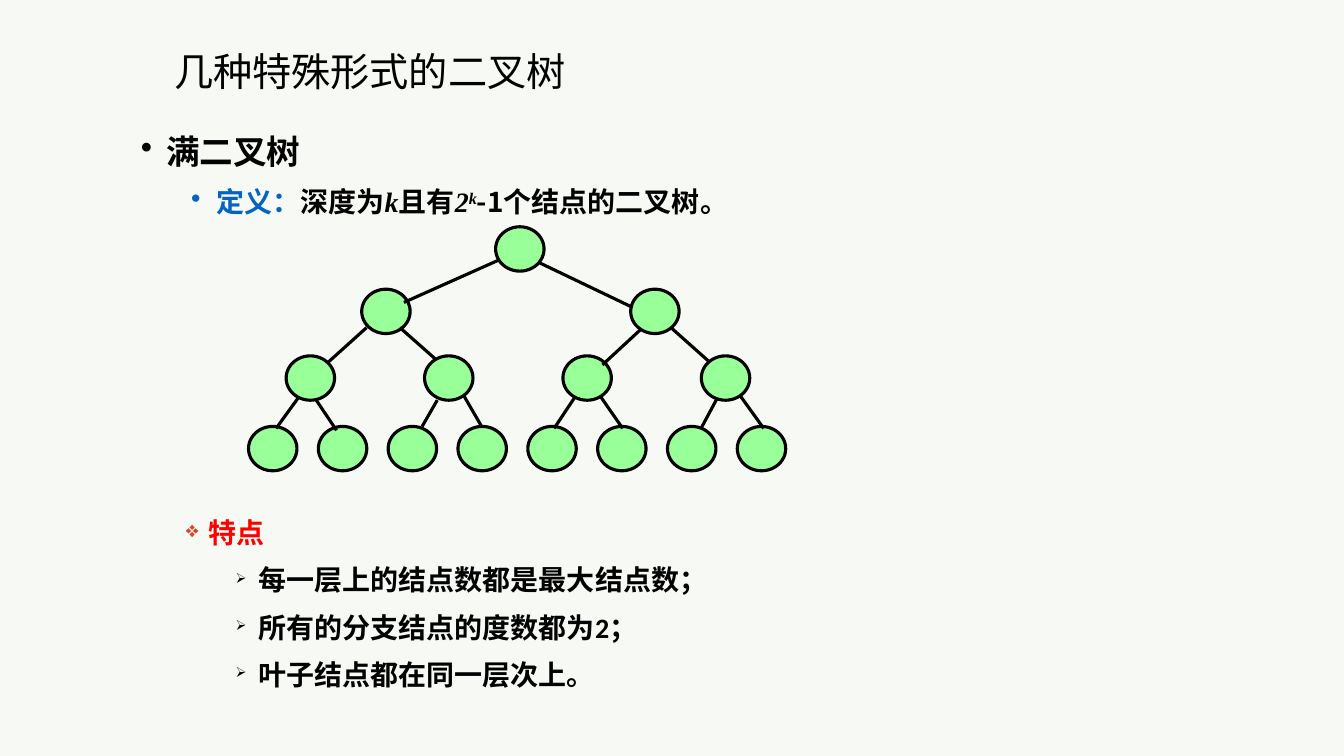
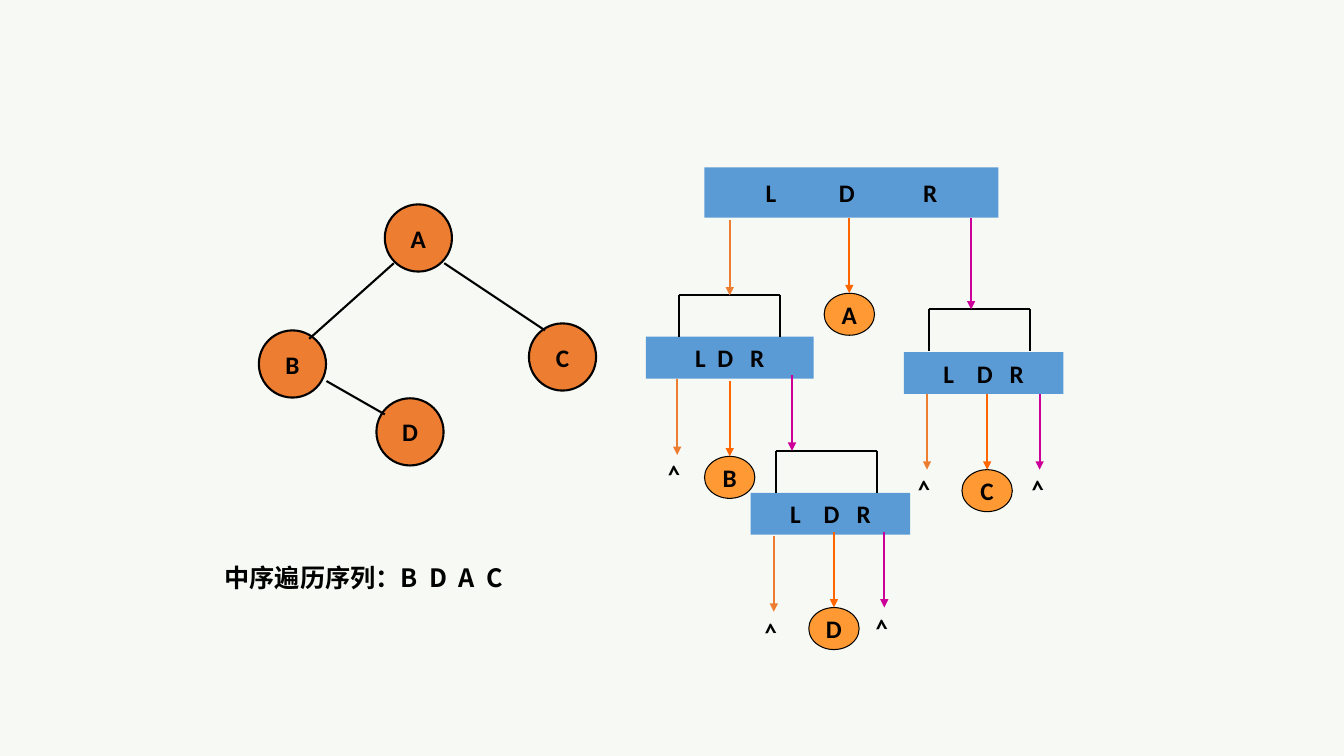
"""Two slides on binary trees: the full binary tree and an in-order traversal."""
import dataclasses

import lxml.etree
import pptx
import pptx.dml.color
import pptx.enum.shapes
import pptx.enum.text
import pptx.oxml.ns
import pptx.util

Pt = pptx.util.Pt
RGB = pptx.dml.color.RGBColor.from_string
qn = pptx.oxml.ns.qn
SHAPE = pptx.enum.shapes.MSO_SHAPE
ALIGN = pptx.enum.text.PP_ALIGN
ANCHOR = pptx.enum.text.MSO_ANCHOR


@dataclasses.dataclass(frozen=True)
class Theme:
    paper: str = "F7FAF4"
    ink: str = "000000"
    definition: str = "0563C1"
    feature: str = "FF0000"
    feature_bullet: str = "DB4325"
    full_node: str = "99FF99"
    tree_node: str = "ED7D31"
    visit: str = "FF9933"
    bar: str = "5B9BD5"
    left_arrow: str = "ED7D31"
    visit_arrow: str = "FF6600"
    right_arrow: str = "CC0099"
    latin: str = "Calibri"
    chinese: str = "Noto Sans CJK SC"
    math: str = "Times New Roman"
    title: int = 28
    heading: int = 24
    body: int = 20
    label: int = 18


theme = Theme()


def add_paragraph(frame, align=ALIGN.LEFT, spacing=None, before=None, margin=0,
                  indent=0, bullet=None, bullet_color=theme.ink, bullet_size=100):
    """Return the empty first paragraph or a new one, formatted."""
    first = frame.paragraphs[0]
    paragraph = frame.add_paragraph() if first.runs else first
    paragraph.alignment = align
    if spacing:
        paragraph.line_spacing = spacing
    if before:
        paragraph.space_before = Pt(before)
    properties = paragraph._p.get_or_add_pPr()
    properties.set("marL", str(Pt(margin)))
    properties.set("indent", str(Pt(indent)))
    if bullet:
        color = lxml.etree.SubElement(properties, qn("a:buClr"))
        lxml.etree.SubElement(color, qn("a:srgbClr"), val=bullet_color)
        lxml.etree.SubElement(properties, qn("a:buSzPct"), val=str(bullet_size * 1000))
        lxml.etree.SubElement(properties, qn("a:buChar"), char=bullet)
    return paragraph


def write(paragraph, text, size=theme.label, font=theme.latin, color=theme.ink,
          bold=True, italic=False, baseline=0, tracking=0):
    """Add one run of text to a paragraph."""
    run = paragraph.add_run()
    run.text = text
    run.font.size = Pt(size)
    run.font.bold = bold
    run.font.italic = italic
    run.font.color.rgb = RGB(color)
    run.font.name = font
    properties = run._r.get_or_add_rPr()
    lxml.etree.SubElement(properties, qn("a:ea"), typeface=theme.chinese)
    if baseline:
        properties.set("baseline", str(baseline * 1000))
    if tracking:
        properties.set("spc", str(round(tracking * 100)))


deck = pptx.Presentation()
deck.slide_width, deck.slide_height = Pt(960.5), Pt(540)
background = deck.slide_master.background.fill
background.solid()
background.fore_color.rgb = RGB(theme.paper)
full_tree, traversal = (deck.slides.add_slide(deck.slide_layouts[6]) for _ in range(2))

nodes = []
for count, left, step, top in ((1, 354.2, 0, 162), (2, 258.5, 192.2, 206.6),
                               (4, 204.5, 98.9, 254.2), (8, 177.6, 49.9, 304.6)):
    for position in range(count):
        nodes.append((full_tree, SHAPE.OVAL, left + position * step, top, 34.6, 31.7,
                      theme.full_node, 2.25, ()))
for name, left, top in (("A", 275, 146), ("D", 269, 284.5), ("B", 185, 236), ("C", 378, 231)):
    nodes.append((traversal, SHAPE.OVAL, left, top, 48, 48, theme.tree_node, 1.5, ((name, 0),)))
for left, top, width, height, left_gap, right_gap in (
        (503.5, 119.5, 210, 36, 40.7, 44.8), (461.5, 240.5, 120, 30, 4.1, 8.1),
        (536.5, 352, 114, 30, 12.2, 8.1), (646, 251.5, 114, 30, 12.2, 8.1)):
    nodes.append((traversal, SHAPE.RECTANGLE, left, top, width, height, theme.bar, 0,
                  (("L", 0), (" ", left_gap), ("D", 0), (" ", right_gap), ("R", 0))))
for name, left, top in (("A", 589, 209.5), ("B", 503.5, 326), ("C", 687.5, 335.5), ("D", 578, 434)):
    nodes.append((traversal, SHAPE.OVAL, left, top, 36, 30, theme.visit, 0.75, ((name, 0),)))

for slide, outline, left, top, width, height, fill, border, label in nodes:
    node = slide.shapes.add_shape(outline, Pt(left), Pt(top), Pt(width), Pt(height))
    node.shadow.inherit = False
    node.fill.solid()
    node.fill.fore_color.rgb = RGB(fill)
    if border:
        node.line.color.rgb = RGB(theme.ink)
        node.line.width = Pt(border)
    else:
        node.line.fill.background()
    if label:
        frame = node.text_frame
        frame.word_wrap = False
        frame.vertical_anchor = ANCHOR.MIDDLE
        caption = add_paragraph(frame, ALIGN.CENTER)
        for text, tracking in label:
            write(caption, text, tracking=tracking)

lines = []
for ends in ((356.4, 185.8, 288.7, 216), (384.5, 187.2, 452.2, 219.6),
             (262, 234, 234, 259.2), (285.8, 234, 311, 256.3),
             (458.6, 234.7, 430.6, 260.6), (479.5, 234, 506.2, 257.8),
             (213, 284.4, 197.3, 306), (226, 285.8, 240.5, 307.4),
             (312.5, 285.8, 301.7, 304.6), (331.2, 282.2, 344.2, 304.6),
             (410.4, 284.4, 396, 306), (429, 283, 445, 306),
             (512.6, 284.4, 501, 306), (529.2, 283, 545.8, 306)):
    lines.append((full_tree, ends, theme.ink, 2.25, False))
for ends in ((281.5, 188, 221, 242), (317.5, 188, 389.5, 236), (233.3, 272.2, 275, 296)):
    lines.append((traversal, ends, theme.ink, 1.5, False))
for left, top in ((485.5, 211), (554.5, 322), (664, 221)):
    right, bottom = left + 72, top + 30
    for ends in ((left, top, right, top), (left, top, left, bottom), (right, top, right, bottom)):
        lines.append((traversal, ends, theme.ink, 1.5, False))
for color, arrows in (
        (theme.left_arrow, ((521.5, 157, 54), (484, 271, 54), (553, 383, 54), (662.5, 281.5, 54))),
        (theme.visit_arrow, ((607, 155.5, 54), (521.5, 272, 54), (596, 380, 54), (705.5, 281.5, 54))),
        (theme.right_arrow, ((694, 155.5, 65.5), (566, 268, 54), (632, 380, 54), (743, 281.5, 54)))):
    for x, top, length in arrows:
        lines.append((traversal, (x, top, x, top + length), color, 1.5, True))

for slide, ends, color, width, arrow in lines:
    edge = slide.shapes.add_connector(pptx.enum.shapes.MSO_CONNECTOR.STRAIGHT,
                                      *(Pt(end) for end in ends))
    edge.line.color.rgb = RGB(color)
    edge.line.width = Pt(width)
    properties = edge._element.spPr
    if arrow:
        lxml.etree.SubElement(properties.find(qn("a:ln")), qn("a:tailEnd"), type="triangle")
    lxml.etree.SubElement(properties, qn("a:effectLst"))

frames = []
for slide, left, top, width, height, rotation in (
        (full_tree, 117.4, 30.2, 613.4, 41, 0),
        (full_tree, 93.6, 84.2, 648, 77.8, 0),
        (full_tree, 105.8, 360, 527.8, 137.5, 0),
        (traversal, 153.4, 398.2, 221.8, 28.8, 0),
        (traversal, 465, 319, 30.2, 28.8, 268.3),
        (traversal, 613.5, 429, 30.2, 28.8, 268.3),
        (traversal, 534.2, 432, 30.2, 28.8, 268.3),
        (traversal, 725, 329.8, 30.2, 28.8, 268.3),
        (traversal, 643.7, 329.8, 30.2, 28.8, 268.3)):
    box = slide.shapes.add_textbox(Pt(left), Pt(top), Pt(width), Pt(height))
    box.rotation = rotation
    box.text_frame.word_wrap = True
    frames.append(box.text_frame)
title, definition, features, sequence, *null_links = frames

title.vertical_anchor = ANCHOR.BOTTOM
write(add_paragraph(title, spacing=0.9), "几种特殊形式的二叉树", size=theme.title, bold=False)

write(add_paragraph(definition, spacing=1.2, margin=18, indent=-18, bullet="•"),
      "满二叉树", size=theme.heading, font=theme.chinese)
meaning = add_paragraph(definition, spacing=1.2, before=5, margin=54, indent=-18,
                        bullet="•", bullet_color=theme.definition)
for text, style in (("定义：", {"color": theme.definition}),
                    ("深度为", {}),
                    ("k", {"font": theme.math, "italic": True}),
                    ("且有", {}),
                    ("2", {"font": theme.math, "italic": True}),
                    ("k", {"font": theme.math, "italic": True, "baseline": 30}),
                    ("-1个结点的二叉树。", {})):
    write(meaning, text, **{"size": theme.body, "font": theme.chinese, **style})

write(add_paragraph(features, spacing=1.2, margin=36, indent=-16, bullet="❖",
                    bullet_color=theme.feature_bullet, bullet_size=80),
      "特点", size=theme.body, font=theme.chinese, color=theme.feature)
for parts in ((("每一层上的结点数都是最大结点数；", "Cabin"),),
              (("所有的分支结点的度数都为", theme.chinese), ("2", theme.latin), ("；", theme.chinese)),
              (("叶子结点都在同一层次上。", theme.chinese),)):
    feature = add_paragraph(features, spacing=1.2, before=5, margin=72, indent=-16.5,
                            bullet="➢", bullet_size=50)
    for text, font in parts:
        write(feature, text, size=theme.body, font=font)

visited = add_paragraph(sequence)
write(visited, "中序遍历序列：B", font=theme.chinese)
for name in "DAC":
    write(visited, " ", font=theme.chinese, tracking=4.1)
    write(visited, name, font=theme.chinese)
for null_link in null_links:
    write(add_paragraph(null_link), ">")

deck.save("out.pptx")
